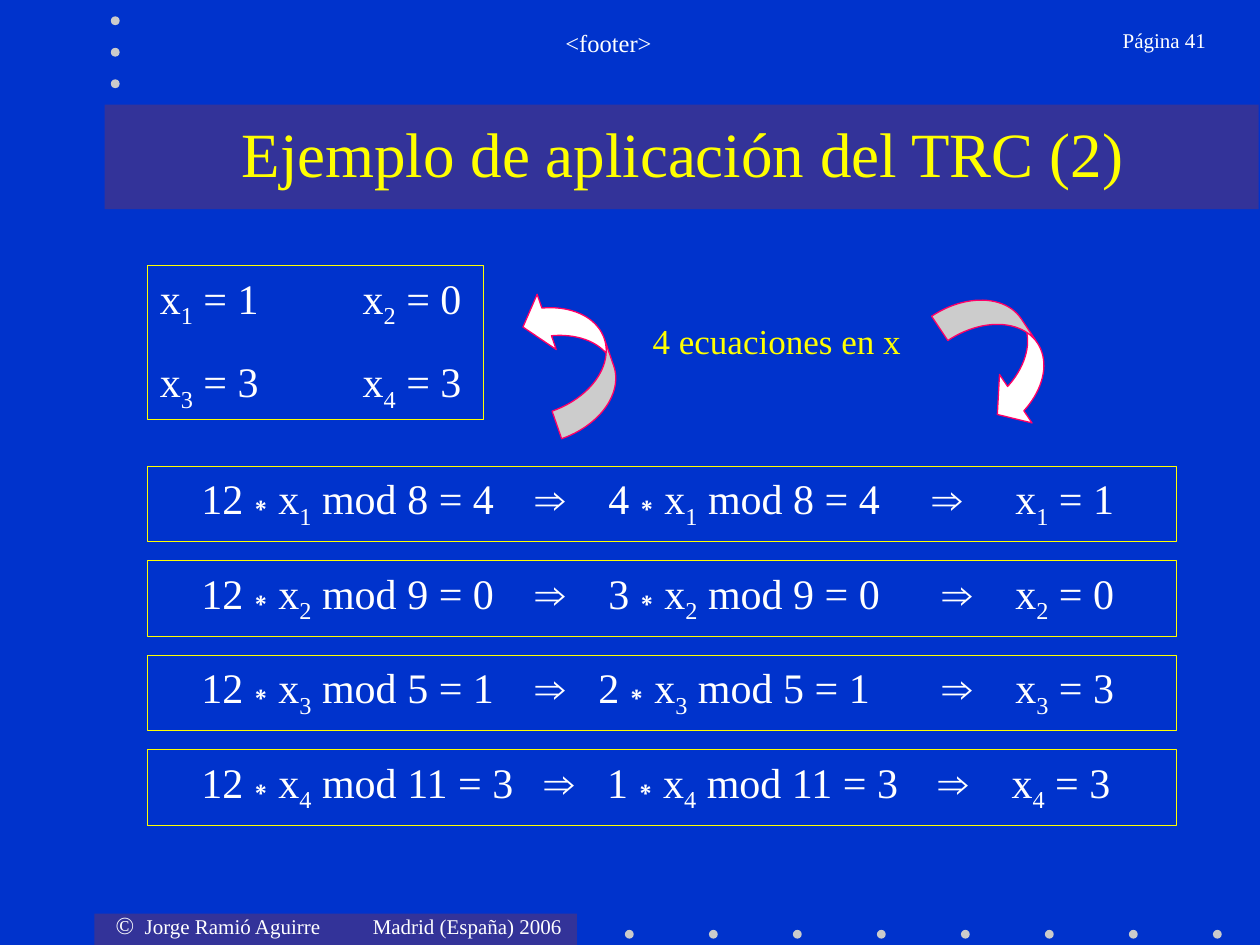
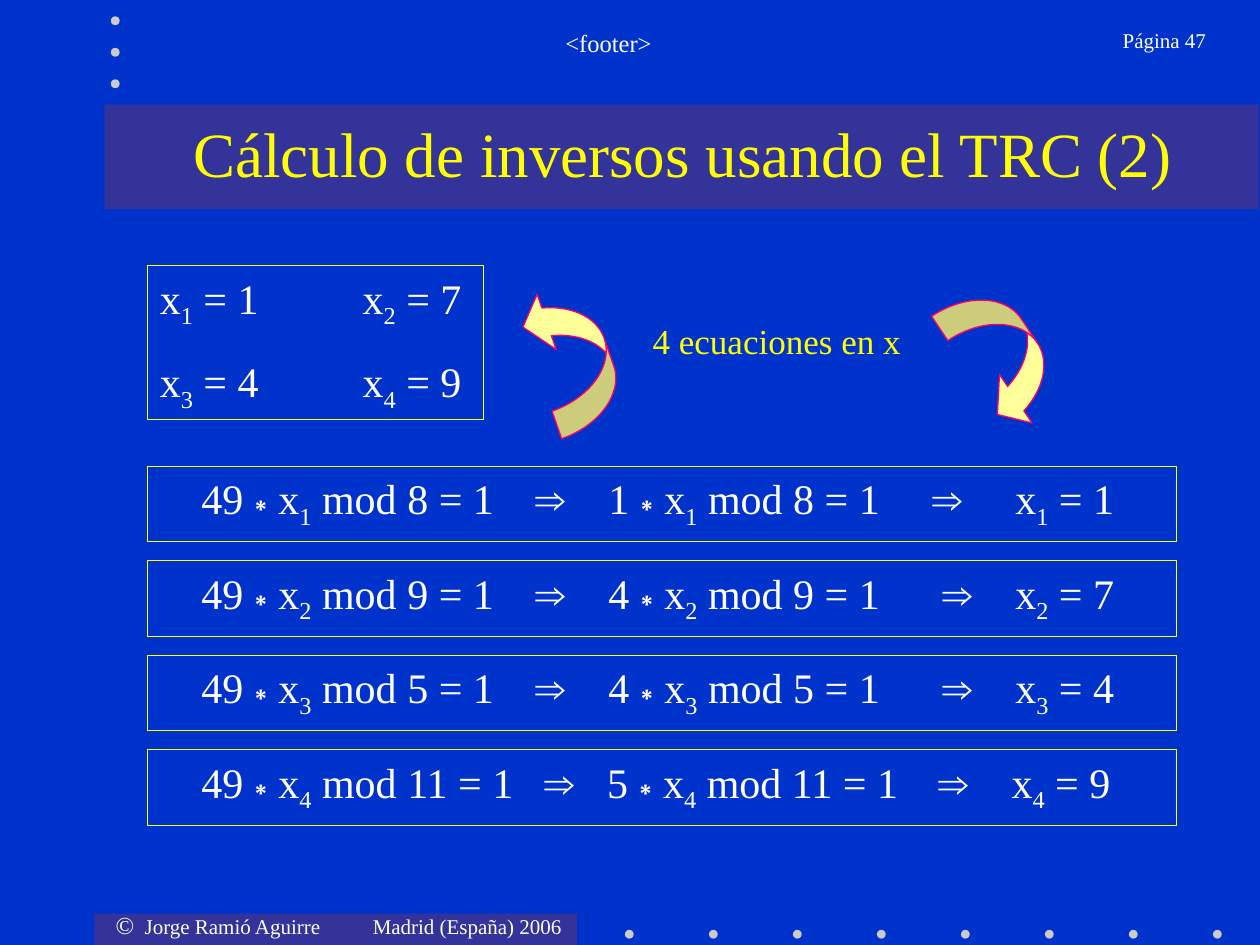
from collections import namedtuple

from lxml import etree
from pptx import Presentation
from pptx.dml.color import RGBColor
from pptx.enum import shapes, text
from pptx.oxml import ns
from pptx.util import Inches, Pt

BLUE = RGBColor(0x00, 0x33, 0xCC)
INDIGO = RGBColor(0x33, 0x33, 0x99)
GREY = RGBColor(0xCB, 0xCB, 0xCB)
WHITE = RGBColor(0xFF, 0xFF, 0xFF)
YELLOW = RGBColor(0xFF, 0xFF, 0x00)
CREAM = RGBColor(0xFF, 0xFF, 0x99)
PINK = RGBColor(0xFF, 0x00, 0x66)

SERIF = "Times New Roman"
SANS = "Arial"
LEFT, CENTER, RIGHT = (text.PP_ALIGN.LEFT, text.PP_ALIGN.CENTER,
                       text.PP_ALIGN.RIGHT)

Piece = namedtuple("Piece", "text size font color sub",
                   defaults=(24, SERIF, WHITE, False))
Equation = namedtuple("Equation", "modulus remainder reduced solution stops")

TIMES = Piece("∗", 20, SANS)
IMPLIES = Piece("⇒", 24, SANS)

# Tab stops: factor, arrow, reduced factor, arrow, solution
FIRST_STOPS = (0.33, 2.98, 3.56, 6.13, 6.79)
MIDDLE_STOPS = (0.33, 2.98, 3.56, 6.21, 6.79)
SHIFTED_STOPS = (0.33, 2.98, 3.48, 6.21, 6.79)
LAST_STOPS = (0.33, 3.05, 3.55, 6.18, 6.76)


def add_box(slide, kind, left, top, width, height, fill=None, line=None):
    box = slide.shapes.add_shape(kind, Inches(left), Inches(top),
                                 Inches(width), Inches(height))
    box.shadow.inherit = False
    if fill is None:
        box.fill.background()
    else:
        box.fill.solid()
        box.fill.fore_color.rgb = fill
    if line is None:
        box.line.fill.background()
    else:
        box.line.color.rgb = line
        box.line.width = Pt(0.75)
    return box


def set_tabs(paragraph, stops):
    properties = paragraph._p.get_or_add_pPr()
    tabs = etree.SubElement(properties, ns.qn("a:tabLst"))
    for stop in stops:
        etree.SubElement(tabs, ns.qn("a:tab"), pos=str(Inches(stop)), algn="l")


def write(box, lines, align=LEFT, before=0, stops=(), middle=True, bottom=0.05):
    """Fill the box with one paragraph per line, each a list of pieces."""
    frame = box.text_frame
    frame.word_wrap = True
    frame.margin_left = frame.margin_right = Inches(0.1)
    frame.margin_top, frame.margin_bottom = Inches(0.05), Inches(bottom)
    frame.vertical_anchor = (text.MSO_ANCHOR.MIDDLE if middle
                             else text.MSO_ANCHOR.TOP)
    for number, line in enumerate(lines):
        paragraph = frame.add_paragraph() if number else frame.paragraphs[0]
        paragraph.alignment = align
        paragraph.space_before = Pt(before)
        if stops:
            set_tabs(paragraph, stops)
        for piece in line:
            run = paragraph.add_run()
            run.text = piece.text
            run.font.size = Pt(piece.size)
            run.font.name = piece.font
            run.font.color.rgb = piece.color
            if piece.sub:
                run._r.get_or_add_rPr().set("baseline", "-25000")
    return frame


def add_label(slide, left, top, width, height, pieces, **layout):
    label = slide.shapes.add_textbox(Inches(left), Inches(top),
                                     Inches(width), Inches(height))
    return write(label, [pieces], **layout)


def add_dot(slide, left, top):
    add_box(slide, shapes.MSO_SHAPE.OVAL, left, top, 0.07, 0.07, GREY)


def add_frame(slide, title, page):
    """Background, bands, dots, title and page texts common to all slides."""
    slide.background.fill.solid()
    slide.background.fill.fore_color.rgb = BLUE
    rectangle = shapes.MSO_SHAPE.RECTANGLE
    add_box(slide, rectangle, 0.75, 7.25, 3.83, 0.25, INDIGO)
    add_box(slide, rectangle, 0.83, 0.83, 9.16, 0.83, INDIGO)
    for column in range(8):
        add_dot(slide, 4.96 + column * 2 / 3, 7.38)
    for row in range(3):
        add_dot(slide, 0.88, 0.13 + row * 0.25)
    credit = add_label(
        slide, 0.72, 7.17, 3.85, 0.34,
        [Piece("\t©", 14),
         Piece("\tJorge Ramió Aguirre\tMadrid (España) 2006", 12)],
        before=7.5, stops=(0.1, 0.33, 2.14), middle=False)
    credit.margin_right = 0
    add_label(slide, 1.58, 0.17, 6.5, 0.5, [Piece("<footer>", 14)],
              align=CENTER, before=8.8, middle=False)
    add_label(slide, 8.3, 0.17, 1.37, 0.5, [Piece(f"Página {page}", 12)],
              align=RIGHT, before=7.5, middle=False)
    add_label(slide, 1.17, 0.83, 8.5, 0.75, [Piece(title, 36, SERIF, YELLOW)],
              align=CENTER)


def unknown(index):
    return [Piece("x"), Piece(str(index), sub=True)]


def add_equation(slide, index, factor, equation):
    row = add_box(slide, shapes.MSO_SHAPE.RECTANGLE,
                  1.17, 3.7 + (index - 1) * 0.75, 8.17, 0.6, line=YELLOW)
    pieces = []
    for multiplier in (factor, equation.reduced):
        pieces += [Piece(f"\t{multiplier}"), TIMES, *unknown(index),
                   Piece(f" mod {equation.modulus} = {equation.remainder}\t"),
                   IMPLIES]
    pieces += [Piece("\t"), *unknown(index), Piece(f" = {equation.solution}")]
    write(row, [pieces], before=15, stops=equation.stops, bottom=0.09)


def add_solutions(slide, values):
    summary = add_box(slide, shapes.MSO_SHAPE.RECTANGLE,
                      1.17, 2.11, 2.67, 1.22, line=YELLOW)
    lines = []
    for index in (1, 3):
        lines.append([*unknown(index), Piece(f" = {values[index - 1]}\t"),
                      *unknown(index + 1), Piece(f" = {values[index]}")])
    write(summary, lines, before=15, stops=(1.61,))


def add_curved_arrow(slide, left, rotation, color, upward=False):
    arrow = add_box(slide, shapes.MSO_SHAPE.CURVED_LEFT_ARROW,
                    left, 2.25, 0.58, 1.17, color, PINK)
    for position, share in enumerate((0.4, 0.8, 0.33)):
        arrow.adjustments[position] = share
    arrow.rotation = rotation
    if upward:
        arrow._element.spPr.find(ns.qn("a:xfrm")).set("flipV", "1")


def add_system_slide(deck, title, page, factor, equations, arrow_color):
    slide = deck.slides.add_slide(deck.slide_layouts[6])
    add_frame(slide, title, page)
    for index, equation in enumerate(equations, 1):
        add_equation(slide, index, factor, equation)
    add_label(slide, 5, 2.48, 2.33, 0.44,
              [Piece("4 ecuaciones en x", 20, SERIF, YELLOW)],
              align=CENTER, before=12.5)
    add_solutions(slide, [equation.solution for equation in equations])
    add_curved_arrow(slide, 4.25, 340.9, arrow_color, upward=True)
    add_curved_arrow(slide, 7.67, 326.2, arrow_color)


def main():
    deck = Presentation()
    deck.slide_width, deck.slide_height = Inches(10), Inches(7.5)
    add_system_slide(deck, "Ejemplo de aplicación del TRC (2)", 41, 12, [
        Equation(8, 4, 4, 1, FIRST_STOPS),
        Equation(9, 0, 3, 0, MIDDLE_STOPS),
        Equation(5, 1, 2, 3, SHIFTED_STOPS),
        Equation(11, 3, 1, 3, LAST_STOPS),
    ], WHITE)
    add_system_slide(deck, "Cálculo de inversos usando el TRC (2)", 47, 49, [
        Equation(8, 1, 1, 1, FIRST_STOPS),
        Equation(9, 1, 4, 7, MIDDLE_STOPS),
        Equation(5, 1, 4, 4, MIDDLE_STOPS),
        Equation(11, 1, 5, 9, LAST_STOPS),
    ], CREAM)
    deck.save("out.pptx")


if __name__ == "__main__":
    main()
